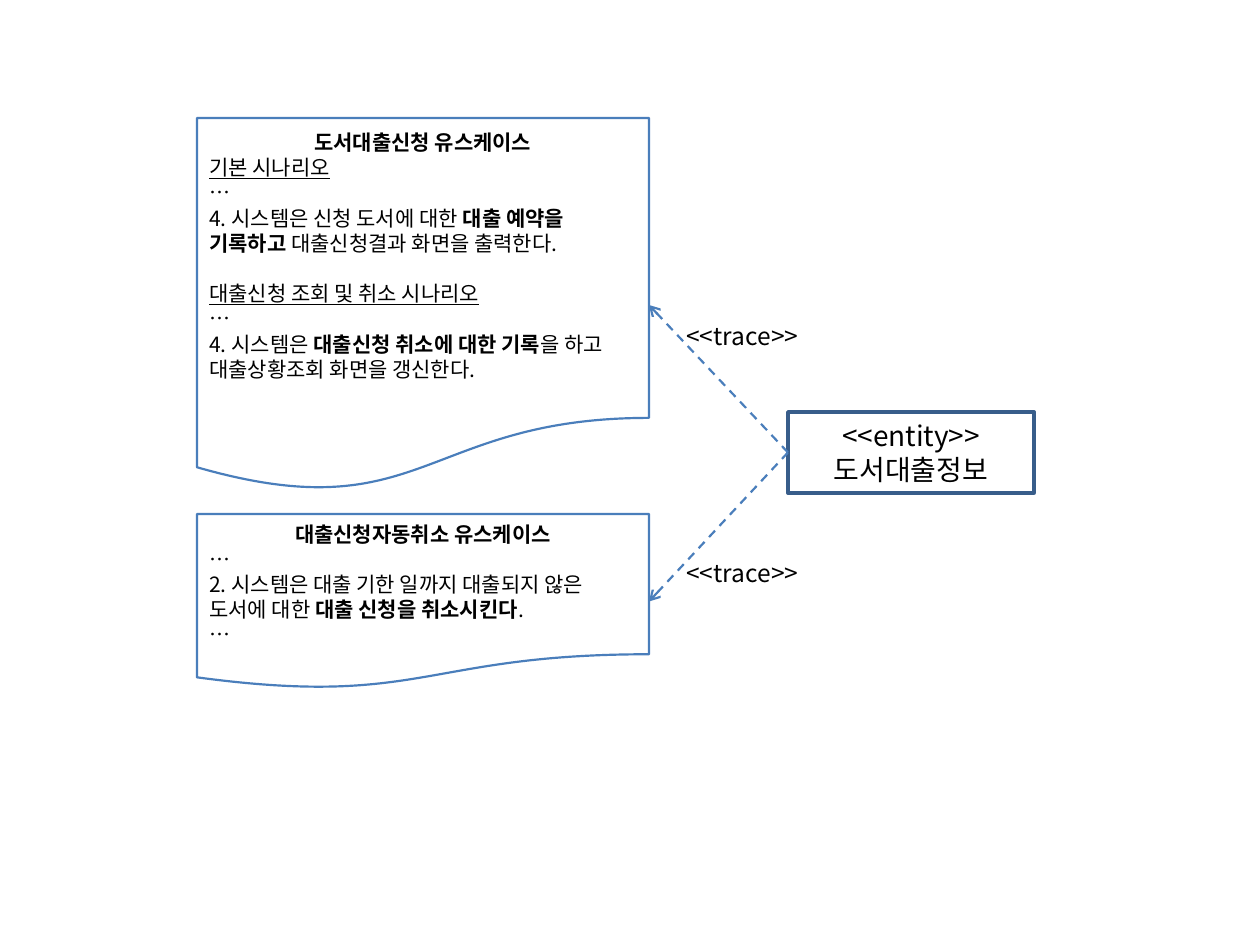
"""Slide tracing an entity class back to two use case documents."""
from lxml import etree
from pptx import Presentation
from pptx import util as u
from pptx.dml.color import RGBColor
from pptx.enum import dml, shapes, text
from pptx.oxml import ns

PX = 914400 // 126
FONT = "Noto Sans CJK KR"
LEADING = 1.2
COLORS = {"document": "4A7EBB", "entity": "385D8A", "text": "000000"}

BODY, TITLE, HEAD, NEXT_HEAD = "body", "title", "head", "next head"
DOCUMENTS = [
    {"box": (197, 118, 452, 374), "bottom": 31, "trace": (674, 315, 140, 43), "paragraphs": [
        (TITLE, ["도서대출신청 유스케이스"]),
        (HEAD, ["기본 시나리오"]),
        (BODY, ["…"]),
        (BODY, ["4. 시스템은 신청 도서에 대한 ", "대출 예약을 기록하고",
                " 대출신청결과 화면을 출력한다."]),
        (NEXT_HEAD, ["대출신청 조회 및 취소 시나리오"]),
        (BODY, ["…"]),
        (BODY, ["4. 시스템은 ", "대출신청 취소에 대한 기록",
                "을 하고 대출상황조회 화면을 갱신한다."]),
    ]},
    {"box": (197, 514, 452, 175), "bottom": 6, "trace": (674, 552, 140, 43), "paragraphs": [
        (TITLE, ["대출신청자동취소 유스케이스"]),
        (BODY, ["…"]),
        (BODY, ["2. 시스템은 대출 기한 일까지 대출되지 않은 도서에 대한 ",
                "대출 신청을 취소시킨다", "."]),
        (BODY, ["…"]),
    ]},
]
ENTITY_BOX = (788, 412, 246, 81)
ENTITY_LINES = ["<<entity>>", "도서대출정보"]
TRACE = "<<trace>>"
LEFT_SITE, RIGHT_SITE = 1, 3


def emu(box):
    return [v * PX for v in box]


def set_line(shape, color, width):
    shape.line.color.rgb = RGBColor.from_string(COLORS[color])
    shape.line.width = u.Pt(width)


def add_box(s, kind, box, color, width):
    sp = s.shapes.add_shape(kind, *emu(box))
    sp.shadow.inherit = False
    sp.fill.background()
    set_line(sp, color, width)
    sp.text_frame.vertical_anchor = text.MSO_ANCHOR.MIDDLE
    return sp


def style_run(r, size, bold=False, underline=False):
    r.font.size, r.font.bold, r.font.underline = u.Pt(size), bold, underline
    r.font.color.rgb = RGBColor.from_string(COLORS["text"])
    r.font.name = FONT
    etree.SubElement(r.font._element, ns.qn("a:ea"), typeface=FONT)


def write(tf, paragraphs, size, centered=False):
    for i, (role, parts) in enumerate(paragraphs):
        p = tf.add_paragraph() if i else tf.paragraphs[0]
        middle = centered or role == TITLE
        p.alignment = text.PP_ALIGN.CENTER if middle else text.PP_ALIGN.LEFT
        p.line_spacing = u.Pt(round(size * LEADING, 1))
        if role == NEXT_HEAD:
            p.space_before = p.line_spacing
        for j, part in enumerate(parts):
            r = p.add_run()
            r.text = part
            style_run(r, size, role == TITLE or j == 1, role in (HEAD, NEXT_HEAD))


def add_trace(s, entity, document, box):
    c = s.shapes.add_connector(shapes.MSO_CONNECTOR.STRAIGHT, 0, 0, 0, 0)
    c.begin_connect(entity, LEFT_SITE)
    c.end_connect(document, RIGHT_SITE)
    set_line(c, "document", 1.25)
    c.line.dash_style = dml.MSO_LINE.DASH
    etree.SubElement(c.line._get_or_add_ln(), ns.qn("a:tailEnd"), type="arrow")
    etree.SubElement(c._element.spPr, ns.qn("a:effectLst"))
    tf = s.shapes.add_textbox(*emu(box)).text_frame
    tf.word_wrap = False
    write(tf, [(BODY, [TRACE])], 14)


def main():
    prs = Presentation()
    prs.slide_width, prs.slide_height = emu((1260, 945))
    s = prs.slides.add_slide(prs.slide_layouts[6])
    documents = []
    for doc in DOCUMENTS:
        sp = add_box(s, shapes.MSO_SHAPE.FLOWCHART_DOCUMENT, doc["box"], "document", 1.25)
        sp.text_frame.margin_bottom = doc["bottom"] * PX
        write(sp.text_frame, doc["paragraphs"], 12)
        documents.append(sp)
    entity = add_box(s, shapes.MSO_SHAPE.RECTANGLE, ENTITY_BOX, "entity", 2)
    write(entity.text_frame, [(BODY, [line]) for line in ENTITY_LINES], 16, centered=True)
    for sp, doc in zip(documents, DOCUMENTS):
        add_trace(s, entity, sp, doc["trace"])
    prs.save("out.pptx")


if __name__ == "__main__":
    main()
